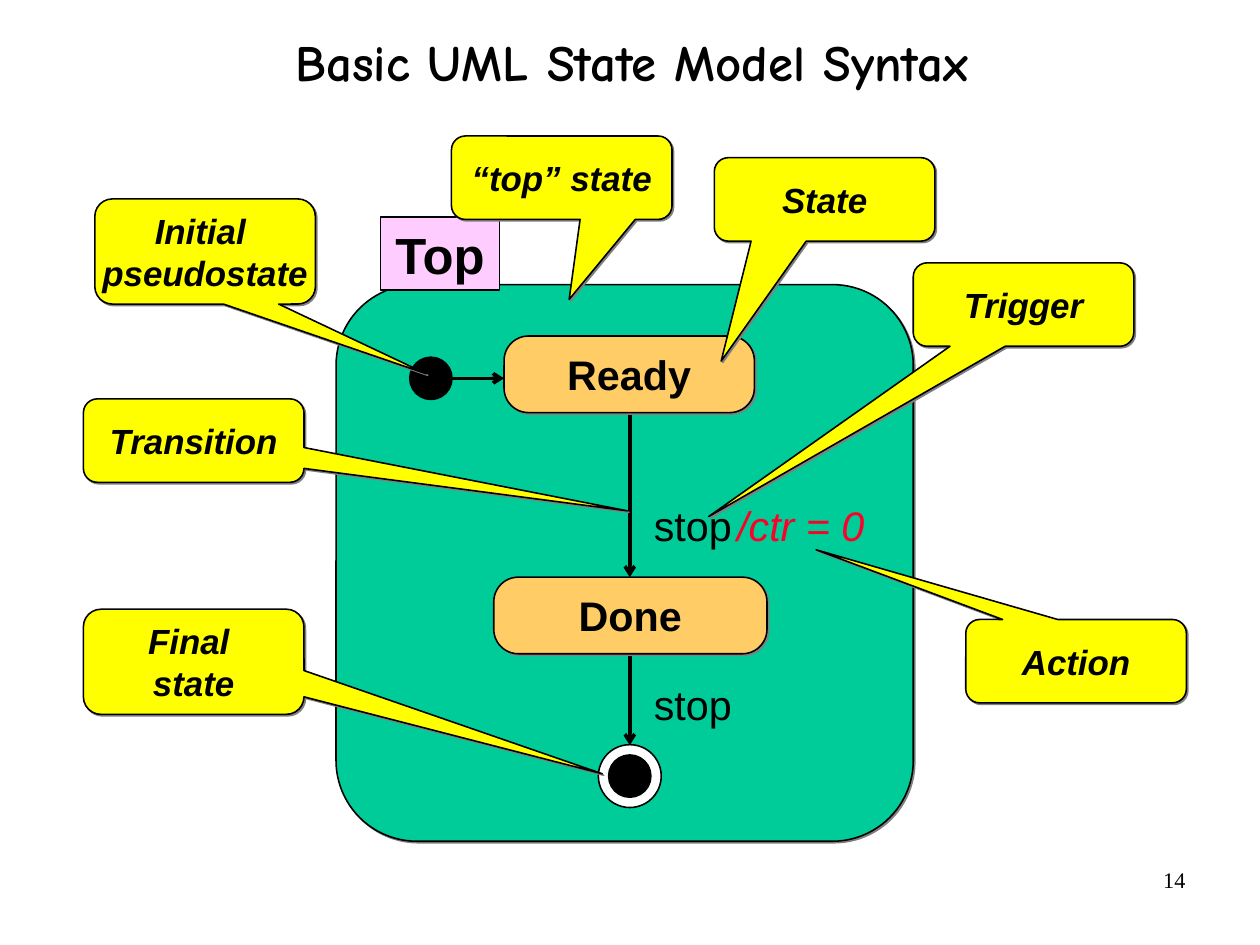
from lxml import etree
from pptx import Presentation
from pptx.dml.color import RGBColor
from pptx.enum.shapes import MSO_CONNECTOR, MSO_SHAPE
from pptx.enum.text import MSO_ANCHOR, MSO_AUTO_SIZE, PP_ALIGN
from pptx.oxml.ns import qn
from pptx.util import Inches, Pt

RECT, ROUNDED = MSO_SHAPE.RECTANGLE, MSO_SHAPE.ROUNDED_RECTANGLE
OVAL, CALLOUT = MSO_SHAPE.OVAL, MSO_SHAPE.ROUNDED_RECTANGULAR_CALLOUT
STRAIGHT = MSO_CONNECTOR.STRAIGHT
LEFT, CENTER, RIGHT = PP_ALIGN.LEFT, PP_ALIGN.CENTER, PP_ALIGN.RIGHT
TOP, MIDDLE = MSO_ANCHOR.TOP, MSO_ANCHOR.MIDDLE
FIXED, GROW = MSO_AUTO_SIZE.NONE, MSO_AUTO_SIZE.SHAPE_TO_FIT_TEXT

BLACK = RGBColor(0x00, 0x00, 0x00)
WHITE = RGBColor(0xFF, 0xFF, 0xFF)
GREEN = RGBColor(0x00, 0xCC, 0x99)
PINK = RGBColor(0xFF, 0xCC, 0xFF)
ORANGE = RGBColor(0xFF, 0xCC, 0x66)
YELLOW = RGBColor(0xFF, 0xFF, 0x00)
RED = RGBColor(0xFC, 0x01, 0x28)
SHADOW_GREY = "808080"

# The slide measures 28 by 21 cm
SLIDE_WIDTH, SLIDE_HEIGHT = 28 / 2.54, 21 / 2.54

# Content; boxes are left, top, width, height in inches
TITLE, TITLE_BOX = "Basic UML State Model Syntax", (0.83, -0.11, 9.4, 1.37)
PAGE_NUMBER, PAGE_NUMBER_BOX = "14", (7.9, 7.53, 2.57, 0.57)
TOP_STATE_BOX = (2.94, 2.49, 5.05, 4.87)
TOP_NAME, TOP_NAME_BOX = "Top", (3.33, 1.9, 1.04, 0.64)
STATES = [("Ready", (4.41, 2.94, 2.19, 0.67)),
          ("Done", (4.32, 5.05, 2.39, 0.67))]
TRANSITIONS = [((5.51, 3.58), (5.51, 5.05)),
               ((5.51, 5.69), (5.51, 6.52)),
               ((3.77, 3.31), (4.41, 3.31))]
TRANSITION_LABELS = [("stop", (5.61, 5.88, 0.92, 0.54), BLACK, False),
                     ("/ctr = 0", (6.34, 4.32, 1.35, 0.54), RED, True),
                     ("stop", (5.61, 4.32, 0.92, 0.54), BLACK, False)]
# Pseudostate circles: centre, diameter, fill
PSEUDOSTATES = [((3.77, 3.31), 0.37, BLACK),
                ((5.51, 6.79), 0.55, WHITE),
                ((5.51, 6.79), 0.37, BLACK)]
# Callouts: text, left and top, tip of the pointer
CALLOUT_WIDTH = 1.93
CALLOUT_HEIGHTS = {1: 0.73, 2: 0.92}  # by number of text lines
CALLOUTS = [("State", (6.25, 1.38), (6.31, 3.16)),
            ("Trigger", (7.99, 2.3), (6.2, 4.52)),
            ("Action", (8.45, 5.42), (7.14, 4.81)),
            ("Initial \npseudostate", (0.83, 1.74), (3.73, 3.27)),
            ("Transition", (0.73, 3.49), (5.49, 4.47)),
            ("Final \nstate", (0.73, 5.33), (5.27, 6.77)),
            ("“top” state", (3.95, 1.19), (4.98, 2.62))]


def inches(values):
    return [Inches(value) for value in values]


def write(shape, text, size, font="Arial", color=BLACK, bold=False, italic=False,
          align=CENTER, anchor=MIDDLE, wrap=False, fit=FIXED, insets=(0.11, 0.06)):
    frame = shape.text_frame
    frame.text = text
    frame.word_wrap, frame.auto_size, frame.vertical_anchor = wrap, fit, anchor
    frame.margin_left = frame.margin_right = Inches(insets[0])
    frame.margin_top = frame.margin_bottom = Inches(insets[1])
    for paragraph in frame.paragraphs:
        paragraph.alignment = align
        for run in paragraph.runs:
            run.font.name, run.font.size = font, Pt(size)
            run.font.bold, run.font.italic = bold, italic
            run.font.color.rgb = color


def add_outlined(slide, kind, box, fill, shadowed=False):
    shape = slide.shapes.add_shape(kind, *inches(box))
    shape.fill.solid()
    shape.fill.fore_color.rgb = fill
    shape.line.color.rgb = BLACK
    shape.line.width = Pt(1)
    shape.shadow.inherit = False
    if shadowed:
        effects = shape.element.spPr.find(qn("a:effectLst"))
        shadow = etree.SubElement(effects, qn("a:outerShdw"), blurRad="0",
                                  dist=str(Pt(1.4)), dir="2700000",
                                  algn="ctr", rotWithShape="0")
        etree.SubElement(shadow, qn("a:srgbClr"), val=SHADOW_GREY)
    return shape


def add_transition(slide, start, end):
    arrow = slide.shapes.add_connector(STRAIGHT, *inches(start + end))
    arrow.line.color.rgb = BLACK
    arrow.line.width = Pt(2.25)
    properties = arrow.element.spPr
    etree.SubElement(properties.find(qn("a:ln")), qn("a:tailEnd"), type="arrow")
    etree.SubElement(properties, qn("a:effectLst"))


def add_callout(slide, text, corner, tip):
    size = (CALLOUT_WIDTH, CALLOUT_HEIGHTS[len(text.split("\n"))])
    callout = add_outlined(slide, CALLOUT, corner + size, YELLOW, shadowed=True)
    # The pointer is measured from the centre, as a share of the size
    for axis in range(2):
        callout.adjustments[axis] = (tip[axis] - corner[axis]) / size[axis] - 0.5
    callout.adjustments[2] = 0.167
    write(callout, text, 22, bold=True, italic=True)


def main():
    prs = Presentation()
    prs.slide_width, prs.slide_height = inches((SLIDE_WIDTH, SLIDE_HEIGHT))
    slide = prs.slides.add_slide(prs.slide_layouts[5])

    # Title and page number
    title = slide.shapes.title
    title.left, title.top, title.width, title.height = inches(TITLE_BOX)
    write(title, TITLE, 32, font="Comic Neue", bold=True, wrap=True, insets=(0, 0))
    title.text_frame.paragraphs[0].line_spacing = 0.88
    number = slide.shapes.add_textbox(*inches(PAGE_NUMBER_BOX))
    write(number, PAGE_NUMBER, 14, font="Times New Roman", align=RIGHT,
          anchor=TOP, wrap=True, insets=(0.1, 0.05))

    # Top state with its name tab
    top_state = add_outlined(slide, ROUNDED, TOP_STATE_BOX, GREEN, shadowed=True)
    top_state.adjustments[0] = 0.145
    top_name = add_outlined(slide, RECT, TOP_NAME_BOX, PINK)
    write(top_name, TOP_NAME, 32, bold=True, fit=GROW)

    # Transitions, states and pseudostates
    for start, end in TRANSITIONS:
        add_transition(slide, start, end)
    for name, box in STATES:
        state = add_outlined(slide, ROUNDED, box, ORANGE, shadowed=True)
        state.adjustments[0] = 0.32
        write(state, name, 26, bold=True, wrap=True)
    for text, box, color, italic in TRANSITION_LABELS:
        label = slide.shapes.add_textbox(*inches(box))
        write(label, text, 26, color=color, italic=italic, align=LEFT,
              anchor=TOP, fit=GROW)
    for (x, y), diameter, fill in PSEUDOSTATES:
        box = (x - diameter / 2, y - diameter / 2, diameter, diameter)
        add_outlined(slide, OVAL, box, fill)

    # Callouts naming each part
    for text, corner, tip in CALLOUTS:
        add_callout(slide, text, corner, tip)

    prs.save("out.pptx")


if __name__ == "__main__":
    main()
